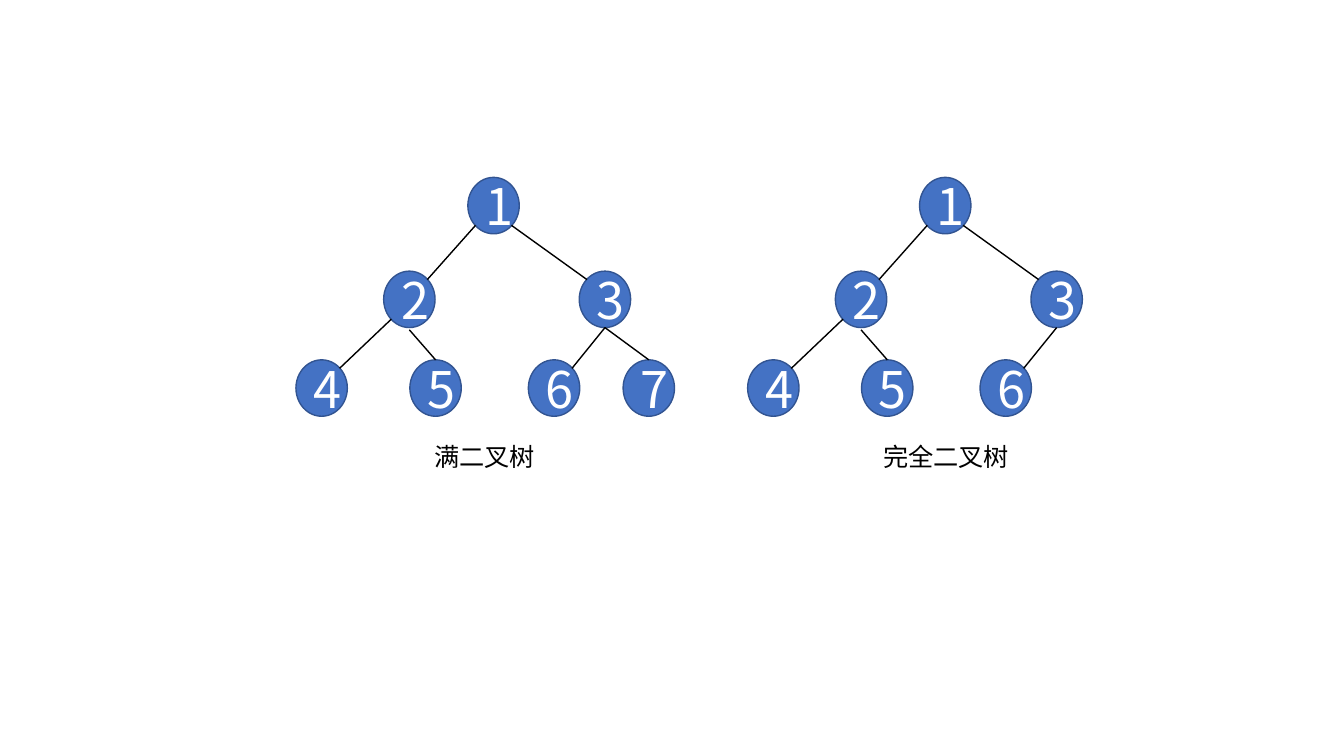
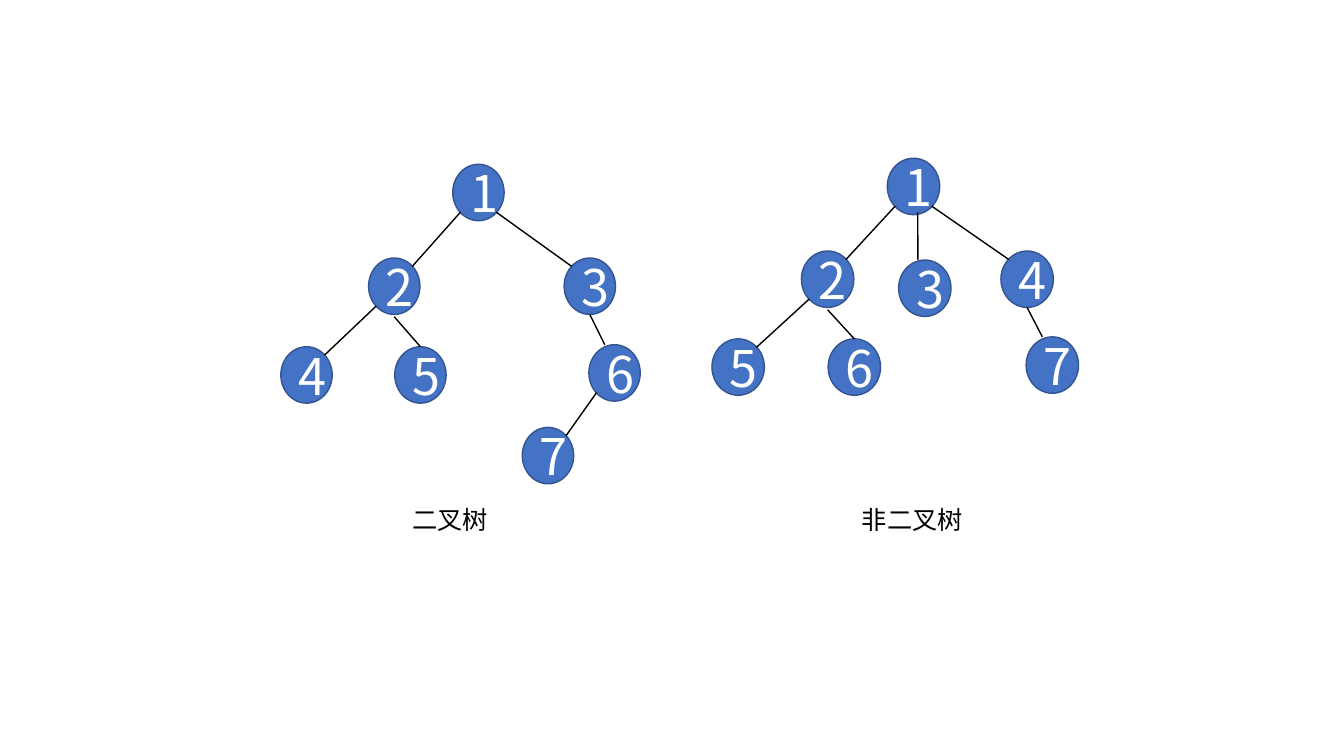
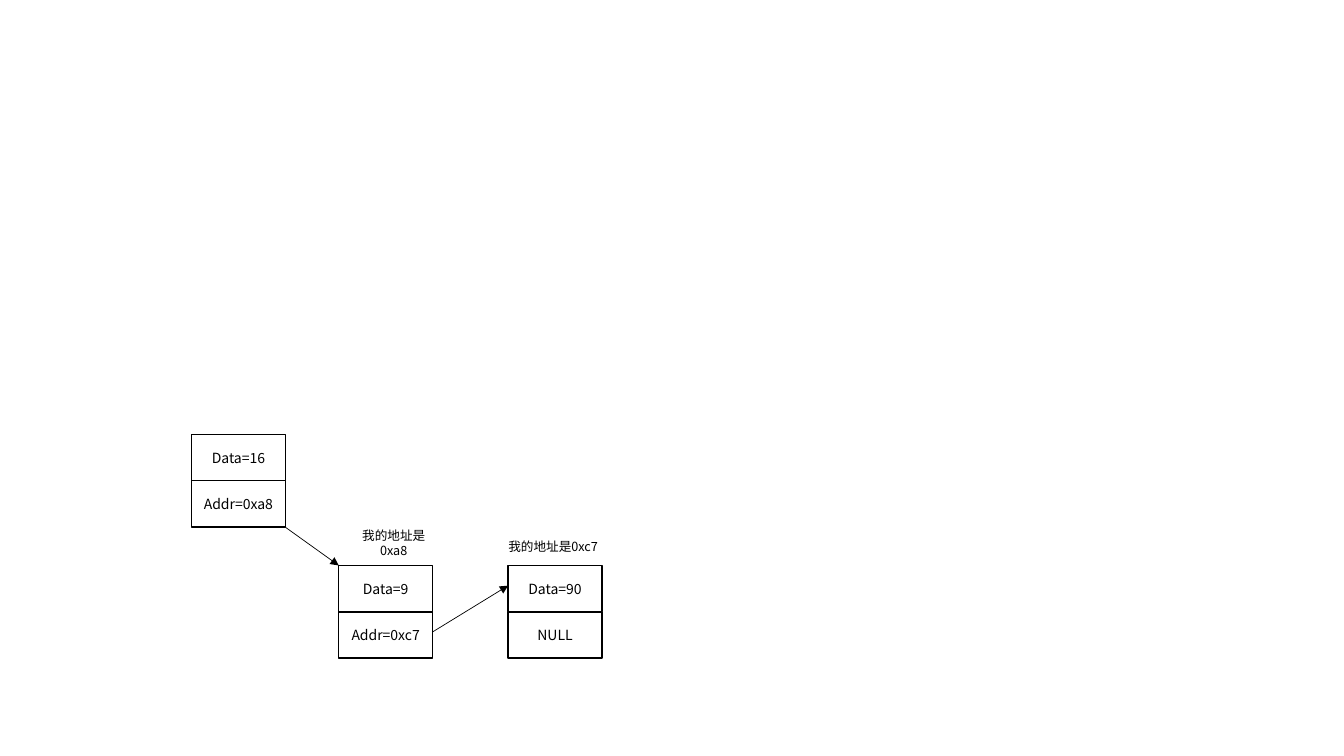
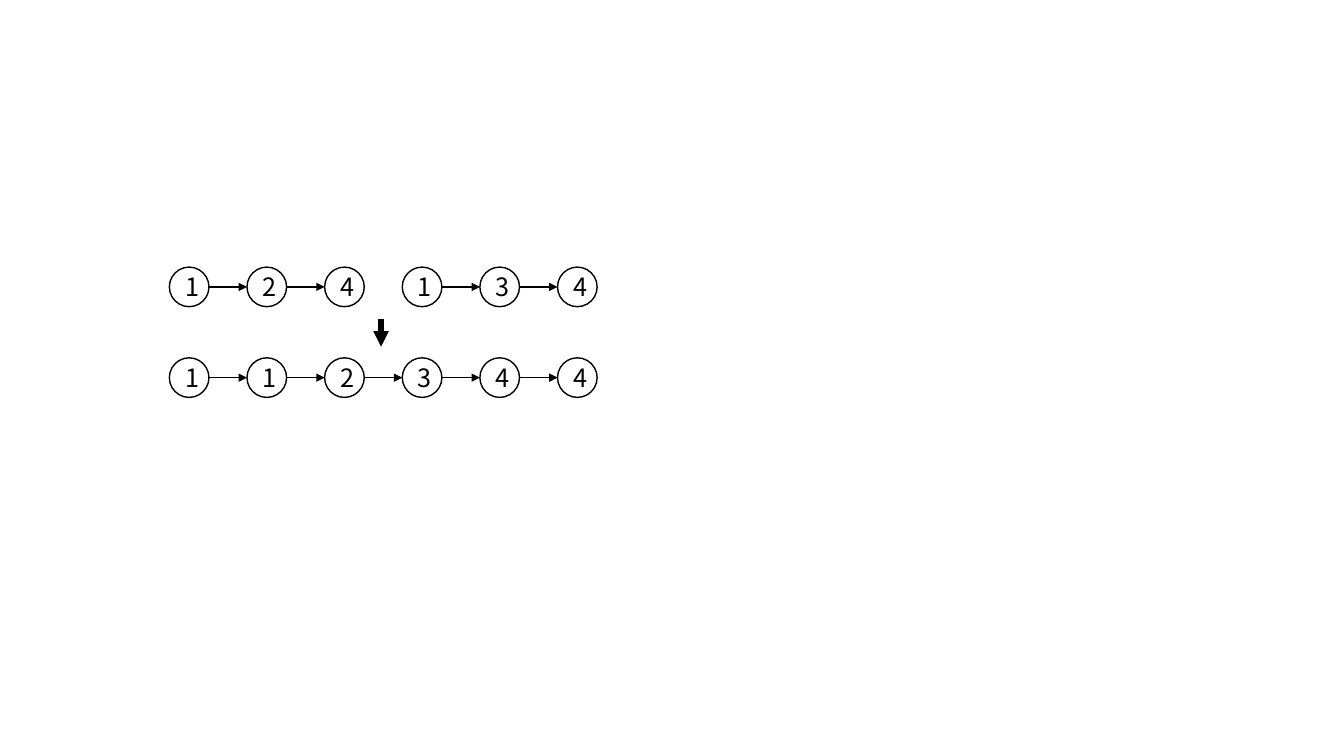
from lxml.etree import SubElement
from pptx import Presentation
from pptx.dml.color import RGBColor
from pptx.enum.shapes import MSO_CONNECTOR, MSO_SHAPE
from pptx.enum.text import MSO_ANCHOR, MSO_AUTO_SIZE, PP_ALIGN
from pptx.oxml.ns import qn
from pptx.util import Inches, Pt

# Shared look
FONT = "Noto Sans CJK SC"
COLOURS = {"node": "4472C4", "rim": "325491", "ink": "000000", "paper": "FFFFFF"}

# Tree geometry, in grid cells of a tenth of an inch
NODE_WIDTH, NODE_HEIGHT = 5.1, 5.6
SPOTS = {  # offset of each node from the root
    "root": (0, 0),
    "left": (-8.35, 9.3),
    "middle": (1.1, 10.2),
    "right": (11.05, 9.3),
    "left-left": (-17.05, 18.1),
    "left-right": (-5.75, 18.1),
    "right-left": (6, 18.1),
    "right-right": (15.4, 18.1),
    "right-near": (13.5, 17.9),
    "right-near-left": (6.9, 26.1),
}
SITES = {  # share of the node's width and height
    "top": (0.5, 0),
    "top left": (0.31, 0),
    "top right": (0.85, 0.15),
    "bottom": (0.5, 1),
    "below": (0.5, 1.04),
    "bottom left": (0.15, 0.85),
    "bottom right": (0.85, 0.85),
    "upper left": (0.15, 0.15),
    "inner bottom": (0.58, 0.96),
    "inner top": (0.37, 0),
}
BRANCHES = {  # child: parent, site on the parent, site on the child
    "left": ("root", "bottom left", "top right"),
    "middle": ("root", "inner bottom", "inner top"),
    "right": ("root", "bottom right", "upper left"),
    "left-left": ("left", "bottom left", "top right"),
    "left-right": ("left", "below", "top"),
    "right-left": ("right", "bottom", "top right"),
    "right-right": ("right", "bottom", "top"),
    "right-near": ("right", "bottom", "top left"),
    "right-near-left": ("right-near", "bottom left", "top right"),
}

# Linked-list geometry
RECORD_WIDTH, RECORD_ROW = 9.3, 4.6
RING, RING_PITCH, RING_LEFT = 3.93, 7.7, 16.8


def cells(count):
    return Inches(count / 10)


def colour(name):
    return RGBColor.from_string(COLOURS[name])


def write(box, text, size, ink="ink", align=None):
    para = box.text_frame.paragraphs[0]
    para.alignment = align
    span = para.add_run()
    span.text = text
    span.font.size = Pt(size)
    span.font.color.rgb = colour(ink)
    span.font.name = FONT
    SubElement(span.font._element, qn("a:ea")).set("typeface", FONT)


def add_shape(group, preset, place, text, size, fill=None, line="ink", ink="ink"):
    shape = group.shapes.add_shape(preset, *map(cells, place))
    shape.shadow.inherit = False
    if fill:
        shape.fill.solid()
        shape.fill.fore_color.rgb = colour(fill)
    else:
        shape.fill.background()
    shape.line.color.rgb = colour(line)
    shape.line.width = Pt(1)
    shape.text_frame.word_wrap = True
    shape.text_frame.vertical_anchor = MSO_ANCHOR.MIDDLE
    write(shape, text, size, ink, PP_ALIGN.CENTER)


def add_line(group, start, end, width=1, arrow=False):
    line = group.shapes.add_connector(MSO_CONNECTOR.STRAIGHT, *map(cells, (*start, *end)))
    line.line.color.rgb = colour("ink")
    line.line.width = Pt(width)
    if arrow:
        SubElement(line.line._get_or_add_ln(), qn("a:tailEnd")).set("type", "triangle")
    SubElement(line._element.spPr, qn("a:effectLst"))


def add_caption(page, left, top, width, text):
    box = page.shapes.add_textbox(*map(cells, (left, top, width, 4)))
    box.text_frame.word_wrap = True
    box.text_frame.auto_size = MSO_AUTO_SIZE.SHAPE_TO_FIT_TEXT
    write(box, text, 18)


def add_tree(page, left, top, labels, stretch=(1, 1)):
    """Draw the labelled spots and every branch that joins two of them."""
    group = page.shapes.add_group_shape()
    width, height = NODE_WIDTH * stretch[0], NODE_HEIGHT

    def corner(spot):
        across, down = SPOTS[spot]
        return left + across * stretch[0], top + down * stretch[1]

    def site_point(spot, site):
        x, y = corner(spot)
        across, down = SITES[site]
        return x + across * width, y + down * height

    for spot, label in labels.items():
        add_shape(group, MSO_SHAPE.FLOWCHART_CONNECTOR, (*corner(spot), width, height),
                  label, 36, "node", "rim", "paper")
    for child in labels:
        if child in BRANCHES:
            parent, start, end = BRANCHES[child]
            add_line(group, site_point(parent, start), site_point(child, end))


def add_record(group, left, top, rows):
    for index, text in enumerate(rows):
        add_shape(group, MSO_SHAPE.RECTANGLE,
                  (left, top + index * RECORD_ROW, RECORD_WIDTH, RECORD_ROW), text, 10)


def add_chain(group, column, top, values):
    middle = top + RING / 2
    for index, value in enumerate(values):
        left = RING_LEFT + (column + index) * RING_PITCH
        add_shape(group, MSO_SHAPE.OVAL, (left, top, RING, RING), value, 18, "paper")
        if index:
            add_line(group, (left - RING_PITCH + RING, middle), (left, middle), arrow=True)


def full_and_complete_trees(page):
    complete = {"root": "1", "left": "2", "right": "3",
                "left-left": "4", "left-right": "5", "right-left": "6"}
    add_tree(page, 46.4, 17.6, complete | {"right-right": "7"})
    add_tree(page, 91.2, 17.6, complete)
    add_caption(page, 42.1, 43.3, 14.3, "满二叉树")
    add_caption(page, 86.6, 43.3, 16.4, "完全二叉树")


def binary_and_other_trees(page):
    add_tree(page, 44.9, 16.3, {
        "root": "1", "left": "2", "right": "3", "left-left": "4",
        "left-right": "5", "right-near": "6", "right-near-left": "7"})
    add_tree(page, 88, 15.7, {
        "root": "1", "left": "2", "middle": "3", "right": "4",
        "left-left": "5", "left-right": "6", "right-near": "7"}, (1.02, 0.99))
    add_caption(page, 39.9, 49.5, 15, "二叉树")
    add_caption(page, 84.5, 49.5, 15, "非二叉树")


def linked_records(page):
    group = page.shapes.add_group_shape()
    add_record(group, 19, 43.1, ("Data=16", "Addr=0xa8"))
    add_record(group, 33.6, 56.1, ("Data=9", "Addr=0xc7"))
    add_record(group, 50.4, 56.1, ("Data=90", "NULL"))
    add_line(group, (28.3, 52.3), (33.6, 56.1), 0.5, arrow=True)
    add_line(group, (42.9, 62.7), (50.4, 58.1), 0.5, arrow=True)
    # Address notes above the records
    for left, top, address in ((33.6, 52.2, "0xa8"), (49.4, 52.6, "0xc7")):
        add_shape(group, MSO_SHAPE.RECTANGLE, (left, top, 10.9, 3.3),
                  "我的地址是" + address, 9, line="paper")


def merged_chains(page):
    group = page.shapes.add_group_shape()
    add_chain(group, 0, 26.5, "124")
    add_chain(group, 3, 26.5, "134")
    add_chain(group, 0, 35.5, "112344")
    add_line(group, (37.8, 31.6), (37.8, 34.4), 3.75, arrow=True)


def main():
    deck = Presentation()
    deck.slide_width, deck.slide_height = Inches(13.33), Inches(7.5)
    blank = deck.slide_layouts[6]
    for build in (full_and_complete_trees, binary_and_other_trees,
                  linked_records, merged_chains):
        build(deck.slides.add_slide(blank))
    deck.save("out.pptx")


main()
